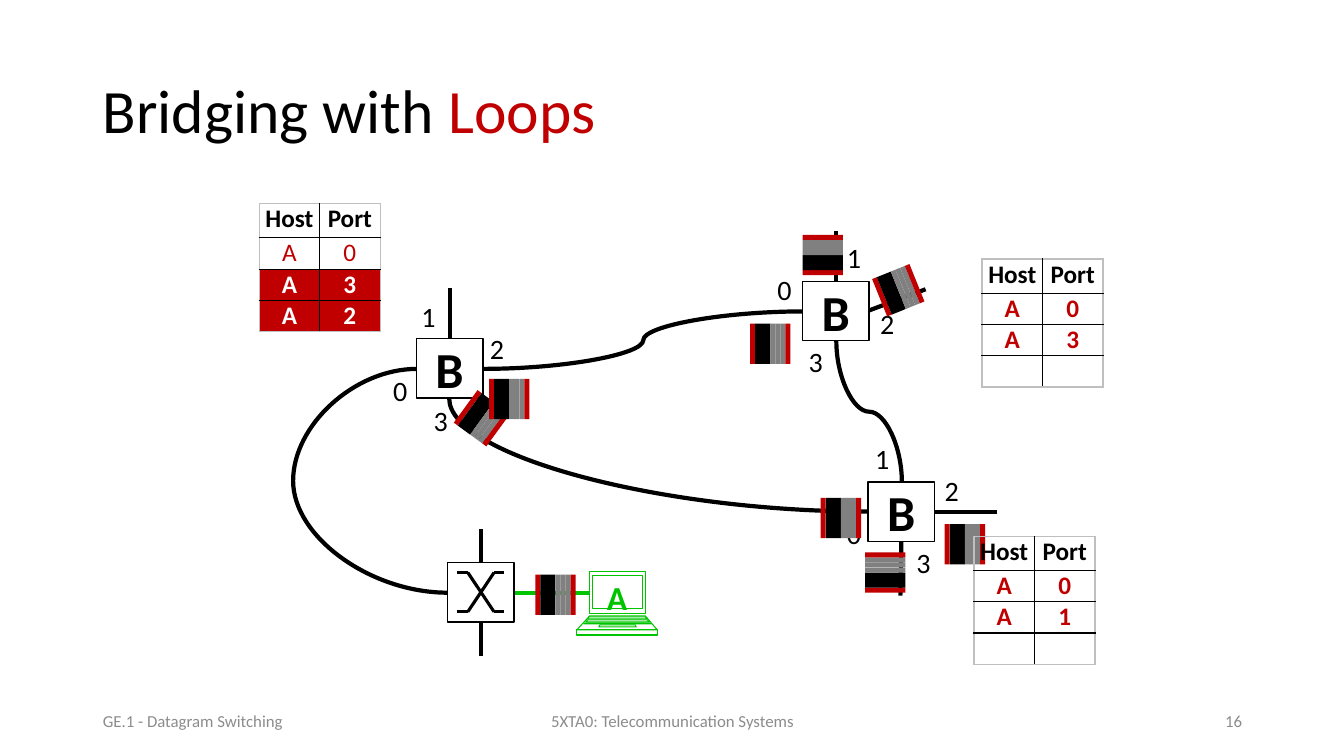
from dataclasses import dataclass

from lxml import etree
from pptx import Presentation
from pptx.dml.color import RGBColor
from pptx.enum.shapes import MSO_CONNECTOR, MSO_SHAPE
from pptx.enum.text import MSO_ANCHOR, PP_ALIGN
from pptx.oxml.ns import qn
from pptx.util import Inches, Pt

STRAIGHT, CURVE = MSO_CONNECTOR.STRAIGHT, MSO_CONNECTOR.CURVE
RECTANGLE = MSO_SHAPE.RECTANGLE
TOP, MIDDLE = MSO_ANCHOR.TOP, MSO_ANCHOR.MIDDLE
LEFT, CENTER, RIGHT = PP_ALIGN.LEFT, PP_ALIGN.CENTER, PP_ALIGN.RIGHT


@dataclass(frozen=True)
class Theme:
    font: str = "Calibri"
    ink: str = "000000"
    paper: str = "FFFFFF"
    red: str = "C00000"
    green: str = "00C400"
    gray: str = "808080"
    footer: str = "8C8C8C"
    frame: str = "BFBFBF"
    title_size: int = 44
    bridge_size: int = 36
    host_size: int = 24
    port_size: int = 20
    table_size: int = 18
    footer_size: int = 12


THEME = Theme()

TITLE = [("Bridging with ", THEME.ink), ("Loops", THEME.red)]
FOOTERS = [
    ("GE.1 - Datagram Switching", 0.92, 3, LEFT),
    ("5XTA0: Telecommunication Systems", 4.42, 4.5, CENTER),
    ("16", 9.42, 3, RIGHT),
]
NODE_SIZE = (0.66, 0.59)
BRIDGES = [(4.13, 3.36), (7.96, 2.79), (8.61, 4.78)]
SWITCH = (4.44, 5.58)
SWITCH_MARKS = [
    (0.09, 0.1, 0.2, 0.1), (0.46, 0.1, 0.56, 0.1),
    (0.09, 0.49, 0.2, 0.49), (0.46, 0.49, 0.56, 0.49),
    (0.2, 0.1, 0.46, 0.49), (0.46, 0.1, 0.2, 0.49),
]
CABLES = [
    (4.46, 2.86, 4.46, 3.36), (9.89, 5.08, 9.27, 5.08),
    (8.93, 5.91, 8.94, 5.37), (8.29, 2.29, 8.29, 2.79),
    (9.18, 2.87, 8.62, 3.08), (4.77, 6.51, 4.77, 6.17),
    (4.77, 5.58, 4.77, 5.25),
]
HOST_CABLE = (5.85, 5.88, 5.1, 5.88)
LOOPS = [
    ((4.79, 3.66, 7.97, 3.09), 180, "curvedConnector3", 50000),
    ((7.92, 4.41, 9.32, 3.76), 270, "curvedConnector3", 50000),
    ((4.13, 3.66, 4.44, 5.88), 180, "curvedConnector3", 494800),
    ((7.09, 2.44, 5.97, 6.59), 270, "curvedConnector2", None),
]
PORTS = [
    ("0", 7.71, 2.7), ("3", 8.02, 3.42), ("2", 8.73, 3.04), ("1", 8.4, 2.39),
    ("0", 8.4, 5.12), ("3", 9.09, 5.41), ("2", 9.37, 4.7), ("1", 8.68, 4.38),
    ("0", 3.9, 3.71), ("3", 4.3, 4), ("2", 4.86, 3.29), ("1", 4.18, 2.97),
]
LAPTOP = (5.72, 5.67)
LAPTOP_OUTLINES = [
    (0, 13, 68, 42, 13, 68), (44, 13, 68, 58, 0, 80),
    (58, 0, 80, 63, 0, 80), (4, 16, 65, 37, 16, 65),
    (45, 12, 68, 47, 11, 70), (53, 23, 58, 55, 22, 59),
    (48, 11, 70, 50, 9, 72), (51, 9, 72, 52, 7, 74),
]
PACKET_CENTERS = [
    (5.51, 5.9, 0), (8.16, 2.53, 270), (8.91, 2.88, 338.1),
    (8.78, 5.68, 270), (9.57, 5.4, 0), (4.78, 4.15, 36.1),
    (5.05, 3.96, 0), (7.64, 3.41, 0), (8.34, 5.14, 0),
]
PACKET_HEIGHT = 0.4
PACKET_STRIPES = [
    (0.05, THEME.red), (0.15, THEME.ink), (0.05, THEME.gray),
    (0.05, THEME.gray), (0.05, THEME.gray), (0.05, THEME.red),
]
HEADER = ("Host", "Port", THEME.ink, True, None)
FIRST_TABLE = (2.57, 2.02, [
    HEADER,
    ("A", "0", THEME.red, False, None),
    ("A", "3", THEME.paper, True, THEME.red),
    ("A", "2", THEME.paper, True, THEME.red),
])
LATER_TABLES = [
    (left, top, [
        HEADER,
        ("A", "0", THEME.red, True, None),
        ("A", port, THEME.red, True, None),
        ("", "", THEME.red, True, None),
    ])
    for left, top, port in [(9.74, 2.57, "3"), (9.66, 5.32, "1")]
]
COLUMN_WIDTH = 0.6
ROW_HEIGHTS = [0.34, 0.31, 0.31, 0.31]


def color(value):
    return RGBColor.from_string(value)


def inches(values):
    return [Inches(value) for value in values]


def style(paragraph, size, ink, align=LEFT, bold=False):
    paragraph.alignment = align
    font = paragraph.font
    font.name, font.size, font.bold = THEME.font, Pt(size), bold
    font.color.rgb = color(ink)


def write(frame, text, size, ink, align=LEFT, bold=False, anchor=TOP, wrap=True, inset=0):
    frame.margin_left = frame.margin_right = frame.margin_bottom = 0
    frame.margin_top = Inches(inset)
    frame.word_wrap, frame.vertical_anchor = wrap, anchor
    frame.text = text
    style(frame.paragraphs[0], size, ink, align, bold)


def add_cable(shapes, ends, ink=THEME.ink, width=3, kind=STRAIGHT):
    cable = shapes.add_connector(kind, *inches(ends))
    cable.line.color.rgb, cable.line.width = color(ink), Pt(width)
    etree.SubElement(cable._element.spPr, qn("a:effectLst"))
    return cable


def add_loop(shapes, ends, turn, preset, bend):
    properties = add_cable(shapes, ends, kind=CURVE)._element.spPr
    properties.find(qn("a:xfrm")).set("rot", str(turn * 60000))
    geometry = properties.find(qn("a:prstGeom"))
    geometry.set("prst", preset)
    if bend is not None:
        adjustments = geometry.find(qn("a:avLst"))
        if adjustments is None:
            adjustments = etree.SubElement(geometry, qn("a:avLst"))
        etree.SubElement(adjustments, qn("a:gd"), name="adj1", fmla=f"val {bend}")


def add_box(shapes, left, top, width, height, fill, line=None):
    box = shapes.add_shape(RECTANGLE, *inches((left, top, width, height)))
    box.shadow.inherit = False
    box.fill.solid()
    box.fill.fore_color.rgb = color(fill)
    if line:
        box.line.color.rgb, box.line.width = color(line), Pt(1)
    else:
        box.line.fill.background()
    return box


def add_switch(shapes):
    group = shapes.add_group_shape()
    left, top = SWITCH
    add_box(group.shapes, left, top, *NODE_SIZE, THEME.paper, THEME.ink)
    for x1, y1, x2, y2 in SWITCH_MARKS:
        add_cable(group.shapes, (left + x1, top + y1, left + x2, top + y2), width=2.25)


def add_laptop(shapes):
    builder = None
    for y1, left1, right1, y2, left2, right2 in LAPTOP_OUTLINES:
        if builder is None:
            builder = shapes.build_freeform(left1, y1, scale=Inches(0.01))
        else:
            builder.move_to(left1, y1)
        builder.add_line_segments([(right1, y1), (right2, y2), (left2, y2)], close=True)
    laptop = builder.convert_to_shape(*inches(LAPTOP))
    laptop.shadow.inherit = False
    laptop.fill.background()
    laptop.line.color.rgb, laptop.line.width = color(THEME.green), Pt(0.75)
    write(laptop.text_frame, "A", THEME.host_size, THEME.green, CENTER, True, inset=0.05)


def add_packet(shapes, center_x, center_y, turn):
    group = shapes.add_group_shape()
    left = center_x - sum(width for width, _ in PACKET_STRIPES) / 2
    for width, fill in PACKET_STRIPES:
        add_box(group.shapes, left, center_y - PACKET_HEIGHT / 2, width, PACKET_HEIGHT, fill)
        left += width
    group.rotation = turn


def add_borders(cell, outer_sides):
    properties = cell._tc.get_or_add_tcPr()
    for index, (side, outer) in enumerate(zip("LRTB", outer_sides)):
        line = etree.Element(qn(f"a:ln{side}"), w=str(Pt(1)))
        fill = etree.SubElement(line, qn("a:solidFill"))
        etree.SubElement(fill, qn("a:srgbClr"), val=THEME.frame if outer else THEME.ink)
        properties.insert(index, line)


def add_host_table(shapes, left, top, rows):
    size = (2 * COLUMN_WIDTH, sum(ROW_HEIGHTS))
    table = shapes.add_table(len(rows), 2, *inches((left, top, *size))).table
    table.first_row = table.horz_banding = False
    for column in table.columns:
        column.width = Inches(COLUMN_WIDTH)
    for y, (host, port, ink, bold, fill) in enumerate(rows):
        table.rows[y].height = Inches(ROW_HEIGHTS[y])
        for x, text in enumerate((host, port)):
            cell = table.cell(y, x)
            cell.margin_left = cell.margin_right = Inches(0.04)
            cell.margin_top = cell.margin_bottom = 0
            cell.text = text
            style(cell.text_frame.paragraphs[0], THEME.table_size, ink, CENTER, bold)
            if fill:
                cell.fill.solid()
                cell.fill.fore_color.rgb = color(fill)
            else:
                cell.fill.background()
            add_borders(cell, (x == 0, x == 1, y == 0, y == len(rows) - 1))


def add_title(title):
    title.left, title.top, title.width, title.height = inches((0.92, 0.4, 11.5, 1.45))
    title.text_frame.vertical_anchor = MIDDLE
    para = title.text_frame.paragraphs[0]
    style(para, THEME.title_size, THEME.ink)
    para.line_spacing = 0.9
    for text, ink in TITLE:
        span = para.add_run()
        span.text = text
        span.font.color.rgb = color(ink)


def main():
    deck = Presentation()
    deck.slide_width, deck.slide_height = inches((13.33, 7.5))
    page = deck.slides.add_slide(deck.slide_layouts[5])
    shapes = page.shapes
    add_title(shapes.title)
    for text, left, width, align in FOOTERS:
        box = shapes.add_textbox(*inches((left + 0.1, 6.95, width - 0.2, 0.4)))
        write(box.text_frame, text, THEME.footer_size, THEME.footer, align, anchor=MIDDLE)
    for ends in CABLES:
        add_cable(shapes, ends)
    add_cable(shapes, HOST_CABLE, THEME.green)
    for loop in LOOPS:
        add_loop(shapes, *loop)
    for left, top in BRIDGES:
        bridge = add_box(shapes, left, top, *NODE_SIZE, THEME.paper, THEME.ink)
        write(bridge.text_frame, "B", THEME.bridge_size, THEME.ink, CENTER, True, MIDDLE)
    add_switch(shapes)
    add_laptop(shapes)
    for text, left, top in PORTS:
        box = shapes.add_textbox(*inches((left, top, 0.14, 0.34)))
        write(box.text_frame, text, THEME.port_size, THEME.ink, wrap=False)
    add_host_table(shapes, *FIRST_TABLE)
    for packet in PACKET_CENTERS:
        add_packet(shapes, *packet)
    for table in LATER_TABLES:
        add_host_table(shapes, *table)
    deck.save("out.pptx")


if __name__ == "__main__":
    main()
